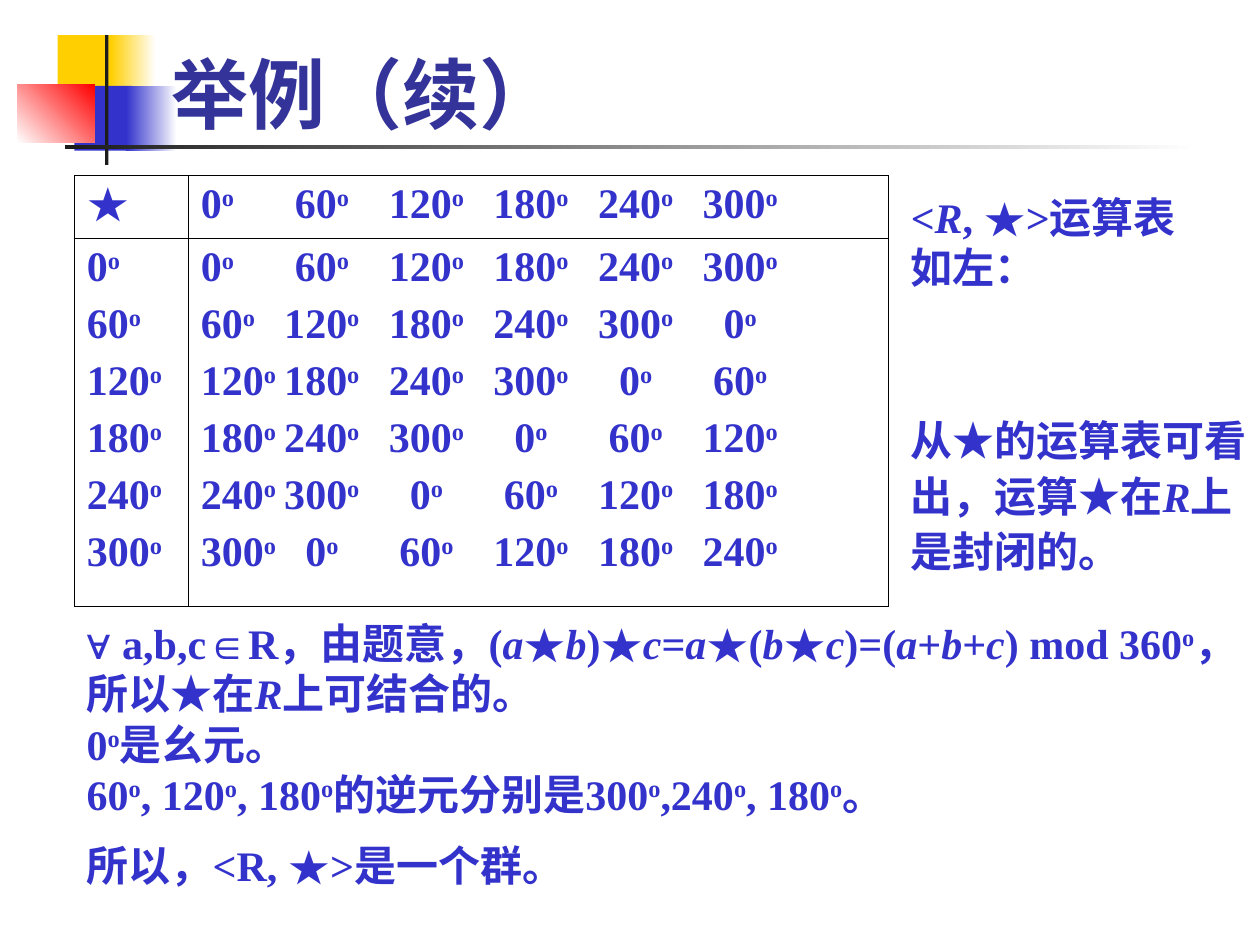
from lxml import etree
from pptx import Presentation
from pptx.dml.color import RGBColor
from pptx.enum import shapes, text
from pptx.oxml.ns import qn
from pptx.util import Inches, Pt

HUES = {"gold": "FFCF01", "blue": "3333CC", "red": "FF0000", "white": "FFFFFF",
        "ink": "1C1C1C", "navy": "333399", "black": "000000"}
WIDE, HIGH = Inches(10), Inches(7.5)
COLS, ROWS = 100, 75  # the slide's grid
SERIF = "Times New Roman"
TURNS = [f"{n}^" for n in range(0, 360, 60)]


def tint(name):
    return RGBColor.from_string(HUES[name])


def place(box):
    """Turn columns and rows of the grid into lengths."""
    x, y, w, h = box
    return (round(x * WIDE / COLS), round(y * HIGH / ROWS),
            round(w * WIDE / COLS), round(h * HIGH / ROWS))


def style(run, size=24, face=SERIF, hue="blue"):
    font = run.font
    font.size, font.name, font.bold = Pt(size), face, True
    font.color.rgb = tint(hue)
    return font


def write(para, line):
    """Write a line in which _x_ is italic and ^ is a raised o."""
    for i, part in enumerate(line.split("_")):
        for j, bit in enumerate(part.split("^")):
            if j:
                run = para.add_run()
                run.text = "o"
                style(run)
                run.font._element.set("baseline", "30000")
            if bit:
                run = para.add_run()
                run.text = bit
                style(run).italic = i % 2 == 1


def fill_in(frame, lines, before=0):
    for i, line in enumerate(lines):
        para = frame.add_paragraph() if i else frame.paragraphs[0]
        para.space_before = Pt(before)
        write(para, line)


def block(slide, box, lines, before=0, wrap=True):
    frame = slide.shapes.add_textbox(*place(box)).text_frame
    frame.word_wrap = wrap
    fill_in(frame, lines, before)
    return frame


def emblem(slide, box):
    """Coloured squares and the two bars; parts are shares of the box."""
    x, y, w, h = box
    parts = [  # left, top, width, height, hues, angle
        (0.034, 0, 0.051, 0.5, ["gold"], 0),
        (0.079, 0, 0.038, 0.5, ["gold", "white"], 0),
        (0.048, 0.39, 0.049, 0.5, ["blue"], 0),
        (0.092, 0.39, 0.043, 0.5, ["blue", "white"], 0),
        (0, 0.38, 0.065, 0.45, ["white", "red"], 45),
        (0.074, 0, 0.003, 1, ["ink"], 0),
        (0.04, 0.845, 0.96, 0.03, ["ink", "white"], 0),
    ]
    for left, top, wide, high, hues, angle in parts:
        spot = place((x + left * w, y + top * h, wide * w, high * h))
        part = slide.shapes.add_shape(shapes.MSO_SHAPE.RECTANGLE, *spot)
        part.shadow.inherit = False
        part.line.fill.background()
        if len(hues) == 1:
            part.fill.solid()
            part.fill.fore_color.rgb = tint(hues[0])
        else:
            part.fill.gradient()
            part.fill.gradient_angle = angle
            for stop, hue in zip(part.fill.gradient_stops, hues):
                stop.color.rgb = tint(hue)


def title(slide, box):
    frame = slide.shapes.add_textbox(*place(box)).text_frame
    frame.word_wrap = True
    frame.vertical_anchor = text.MSO_ANCHOR.BOTTOM
    frame.text = "举例（续）"
    style(frame.paragraphs[0].runs[0], 44, "Roboto", "navy")


def edge(cell):
    """Give a cell thin black borders."""
    props = cell._tc.get_or_add_tcPr()
    for i, side in enumerate(("lnL", "lnR", "lnT", "lnB")):
        line = etree.Element(qn(f"a:{side}"), w=str(Pt(0.45)))
        solid = etree.SubElement(line, qn("a:solidFill"))
        etree.SubElement(solid, qn("a:srgbClr"), val=HUES["black"])
        props.insert(i, line)


def set_tabs(para, first, step, count):
    """Add evenly spaced centred tab stops."""
    stops = etree.SubElement(para._p.get_or_add_pPr(), qn("a:tabLst"))
    for i in range(count):
        spot = round((first + i * step) * WIDE / COLS)
        etree.SubElement(stops, qn("a:tab"), pos=str(spot), algn="ctr")


def sums(slide, box):
    """Operation table: each row is the list of turns, shifted."""
    rows = ["\t".join(TURNS[i:] + TURNS[:i]) for i in range(len(TURNS))]
    grid = slide.shapes.add_table(2, 2, *place(box)).table
    grid.first_row = grid.horz_banding = False
    w, h = place(box)[2:]
    for col, share in zip(grid.columns, (0.14, 0.86)):
        col.width = round(w * share)
    for row, share in zip(grid.rows, (0.146, 0.854)):
        row.height = round(h * share)
    for r, pair in enumerate(((["★"], rows[:1]), (TURNS, rows))):
        for c, lines in enumerate(pair):
            cell = grid.cell(r, c)
            cell.fill.background()
            edge(cell)
            fill_in(cell.text_frame, lines, 6)
            if c:
                for para in cell.text_frame.paragraphs:
                    set_tabs(para, 9.6, 8.3, len(TURNS) - 1)


def notes(slide, box):
    """Remarks to the right of the table."""
    x, y, w, h = box
    block(slide, (x, y, 0.83 * w, 0.29 * h), ["<_R_, ★>运算表", "如左："], wrap=False)
    low = block(slide, (x, y + 0.55 * h, w, 0.45 * h),
                ["从★的运算表可看出，运算★在_R_上是封闭的。"], before=6)
    low.paragraphs[0].line_spacing = 1.1


def proof(slide, box):
    """Group properties below the table."""
    frame = block(slide, box, [
        "∀^ a,b,c∈R，由题意，(_a_★_b_)★_c_=_a_★(_b_★_c_)=(_a_+_b_+_c_) mod 360^，".replace("∀^", "∀"),
        "所以★在_R_上可结合的。",
        "0^是幺元。",
        "60^, 120^, 180^的逆元分别是300^,240^, 180^。",
        "所以，<R, ★>是一个群。",
    ])
    last = frame.paragraphs[-1]
    last.space_before, last.line_spacing = Pt(9), 1.1


def main():
    deck = Presentation()
    deck.slide_width, deck.slide_height = WIDE, HIGH
    slide = deck.slides.add_slide(deck.slide_layouts[6])
    emblem(slide, (1.4, 2.8, 93.7, 10.3))
    title(slide, (12.6, 0.8, 85.2, 10.7))
    sums(slide, (5.9, 13.9, 64.6, 34.2))
    notes(slide, (71.3, 14.7, 28.7, 31.5))
    proof(slide, (5.9, 48.5, 95.3, 22.7))
    deck.save("out.pptx")


if __name__ == "__main__":
    main()
